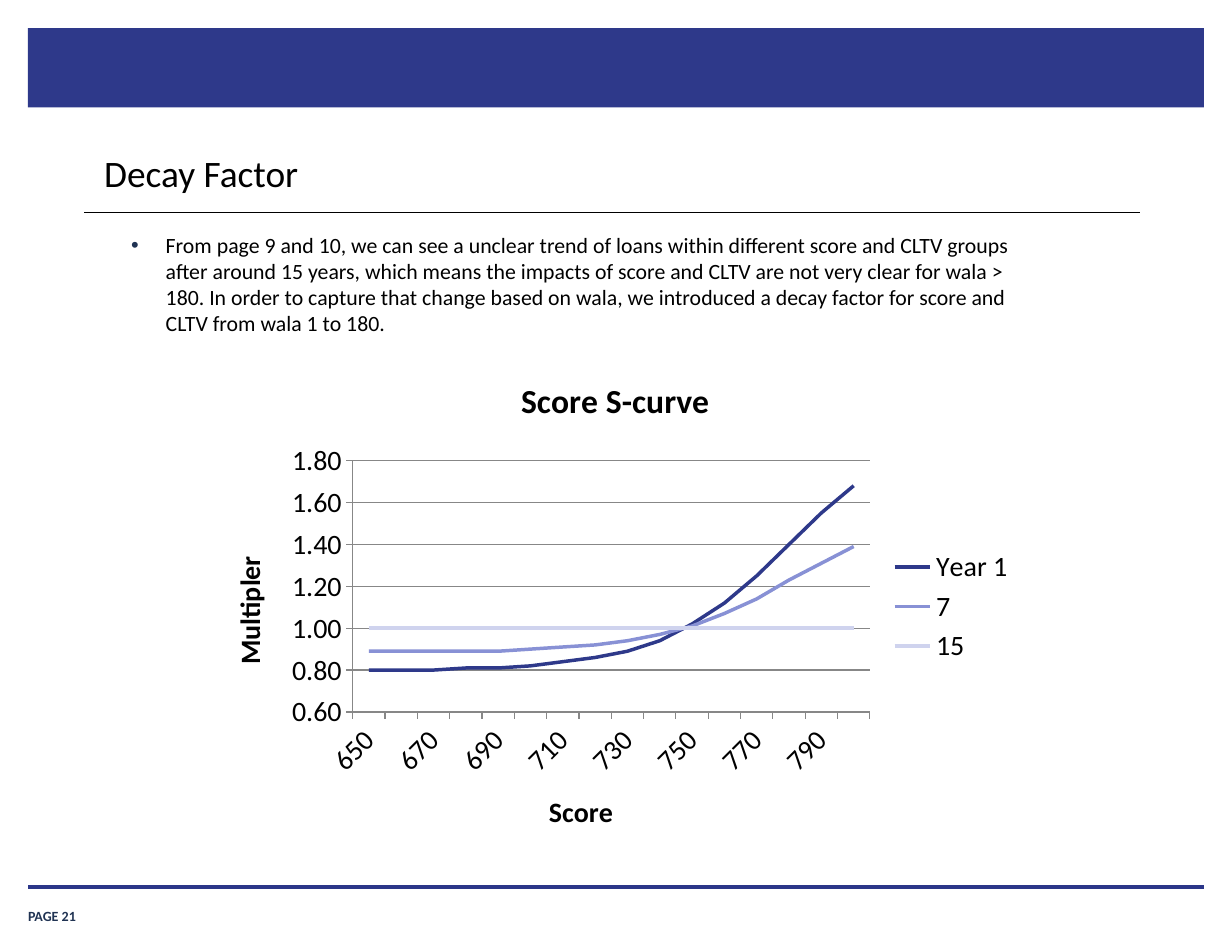
from lxml.etree import SubElement
from pptx import Presentation
from pptx.chart.data import CategoryChartData
from pptx.dml.color import RGBColor
from pptx.enum.chart import XL_CHART_TYPE, XL_LEGEND_POSITION, XL_TICK_MARK
from pptx.enum.shapes import MSO_CONNECTOR, MSO_SHAPE
from pptx.enum.text import MSO_ANCHOR
from pptx.oxml import parse_xml
from pptx.oxml.ns import nsdecls, qn
from pptx.util import Inches, Pt

NAVY, INK, BLACK, GREY = "2E398A", "203353", "000000", "878787"

CURVES = [
    ("Year 1", NAVY, [0.8, 0.8, 0.8, 0.81, 0.81, 0.82, 0.84, 0.86,
                      0.89, 0.94, 1.02, 1.12, 1.25, 1.4, 1.55, 1.68]),
    ("7", "8891D5", [0.89, 0.89, 0.89, 0.89, 0.89, 0.9, 0.91, 0.92,
                     0.94, 0.97, 1.01, 1.07, 1.14, 1.23, 1.31, 1.39]),
    ("15", "CFD3EE", [1] * 16),
]
SCORES = [str(score) for score in range(650, 801, 10)]
EXPLANATION = (
    "From page 9 and 10, we can see a unclear trend of loans within different "
    "score and CLTV groups after around 15 years, which means the impacts of score "
    "and CLTV are not very clear for wala > 180. In order to capture that change "
    "based on wala, we introduced a decay factor for score and CLTV from wala 1 to 180."
)


def color(value):
    return RGBColor.from_string(value)


class SlideBuilder:
    """Holds the style and the current slide, and adds each kind of element."""

    font_name = "Calibri"

    def __init__(self, page):
        self.page = page

    def style(self, font, size, ink=BLACK, bold=False):
        font.name, font.size, font.bold = self.font_name, Pt(size), bold
        font.color.rgb = color(ink)

    def band(self, left, top, width, height, fill):
        shape = self.page.shapes.add_shape(
            MSO_SHAPE.RECTANGLE, Inches(left), Inches(top), Inches(width), Inches(height))
        shape.shadow.inherit = False
        shape.fill.solid()
        shape.fill.fore_color.rgb = color(fill)
        shape.line.fill.background()

    def rule(self, left, right, top, ink, weight):
        line = self.page.shapes.add_connector(
            MSO_CONNECTOR.STRAIGHT, Inches(left), Inches(top), Inches(right), Inches(top))
        line.line.color.rgb = color(ink)
        line.line.width = Pt(weight)
        SubElement(line._element.spPr, qn("a:effectLst"))

    def text(self, left, top, width, height, words, size, ink=BLACK, bold=False,
             inset=(0.11, 0.06), anchor=MSO_ANCHOR.TOP, bullet=None):
        box = self.page.shapes.add_textbox(
            Inches(left), Inches(top), Inches(width), Inches(height))
        frame = box.text_frame
        frame.word_wrap = True
        frame.vertical_anchor = anchor
        frame.margin_left = frame.margin_right = Inches(inset[0])
        frame.margin_top = frame.margin_bottom = Inches(inset[1])
        para = frame.paragraphs[0]
        para.text = words
        if bullet:
            self.bullet(para, bullet)
        self.style(para.font, size, ink, bold)

    def bullet(self, para, ink):
        properties = para._p.get_or_add_pPr()
        properties.set("marL", str(Inches(0.31)))
        properties.set("indent", str(-Inches(0.31)))
        SubElement(SubElement(properties, qn("a:buClr")), qn("a:srgbClr"), val=ink)
        SubElement(properties, qn("a:buFont"), typeface="Arial")
        SubElement(properties, qn("a:buChar"), char="•")

    def chart_title(self, title, words, size):
        title.text_frame.text = words
        self.style(title.text_frame.paragraphs[0].font, size, bold=True)

    def axis(self, axis, title):
        self.chart_title(axis.axis_title, title, 18)
        axis.major_tick_mark = XL_TICK_MARK.OUTSIDE
        axis.minor_tick_mark = XL_TICK_MARK.NONE
        axis.format.line.color.rgb = color(GREY)
        self.style(axis.tick_labels.font, 18)

    def line_chart(self, left, top, width, height, title, categories, curves):
        data = CategoryChartData(number_format="0.00")
        data.categories = categories
        for name, _, values in curves:
            data.add_series(name, values)
        chart = self.page.shapes.add_chart(
            XL_CHART_TYPE.LINE, Inches(left), Inches(top),
            Inches(width), Inches(height), data).chart
        self.style(chart.font, 18)
        self.chart_title(chart.chart_title, title, 21.6)
        chart.has_legend = True
        chart.legend.position = XL_LEGEND_POSITION.RIGHT
        chart.legend.include_in_layout = False
        self.style(chart.legend.font, 18)

        plot = chart.plots[0]
        plot.vary_by_categories = False
        for series, (_, ink, _) in zip(plot.series, curves):
            series.smooth = False
            series.format.line.color.rgb = color(ink)
            series.format.line.width = Pt(2.25)

        scores, multipliers = chart.category_axis, chart.value_axis
        self.axis(scores, "Score")
        scores._element.txPr.find(qn("a:bodyPr")).set("rot", "-2700000")
        skip = parse_xml(f'<c:tickLblSkip {nsdecls("c")} val="2"/>')
        scores._element.find(qn("c:noMultiLvlLbl")).addprevious(skip)
        self.axis(multipliers, "Multipler")
        multipliers.minimum_scale, multipliers.maximum_scale = 0.6, 1.8
        multipliers.major_unit = 0.2
        multipliers.tick_labels.number_format = "0.00"
        multipliers.tick_labels.number_format_is_linked = False
        multipliers.major_gridlines.format.line.color.rgb = color(GREY)
        self.plot_area(chart, x=0.18, y=0.21, w=0.63, h=0.5)

    def plot_area(self, chart, **portions):
        area = chart._chartSpace.chart.plotArea
        for old in area.findall(qn("c:layout")):
            area.remove(old)
        layout = parse_xml(f'<c:layout {nsdecls("c")}/>')
        manual = SubElement(layout, qn("c:manualLayout"))
        SubElement(manual, qn("c:layoutTarget"), val="inner")
        for mode in ("xMode", "yMode"):
            SubElement(manual, qn(f"c:{mode}"), val="edge")
        for side, portion in portions.items():
            SubElement(manual, qn(f"c:{side}"), val=str(portion))
        area.insert(0, layout)


def main():
    deck = Presentation()
    deck.slide_width, deck.slide_height = Inches(11), Inches(8.5)
    builder = SlideBuilder(deck.slides.add_slide(deck.slide_layouts[6]))
    builder.band(0.25, 0.25, 10.5, 0.71, NAVY)
    builder.text(0.25, 8.02, 0.91, 0.23, "PAGE 21", 9, INK, bold=True,
                 inset=(0, 0), anchor=MSO_ANCHOR.BOTTOM)
    builder.rule(0.25, 10.75, 7.92, "2B3689", 2)
    builder.text(0.82, 1.28, 9.35, 0.48, "Decay Factor", 24)
    builder.text(1.06, 2.01, 8.29, 5.83, EXPLANATION, 14, bullet=INK)
    builder.rule(0.75, 10.18, 1.9, BLACK, 0.75)
    builder.line_chart(1.83, 3.17, 7.33, 4.49, "Score S-curve", SCORES, CURVES)
    deck.save("out.pptx")


if __name__ == "__main__":
    main()
